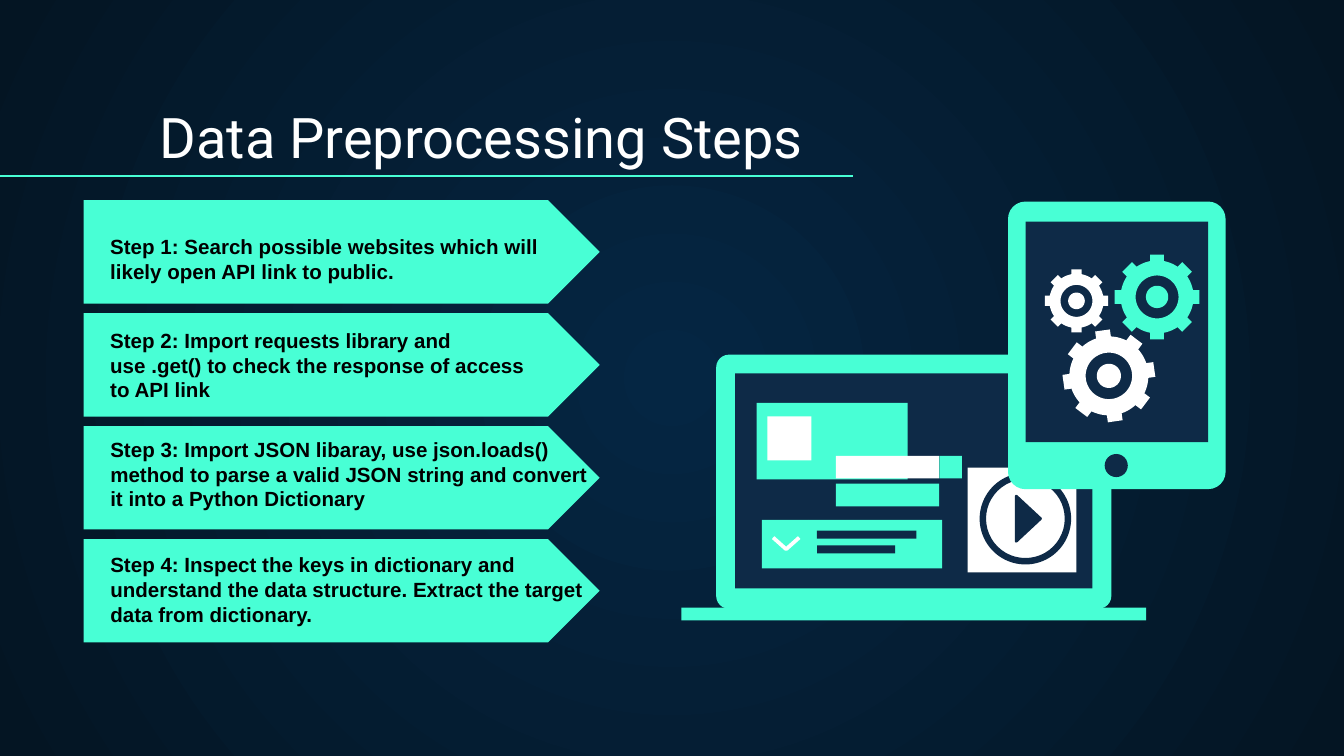
import math

from lxml import etree
from pptx import Presentation
from pptx import util as u
from pptx.dml.color import RGBColor
from pptx.enum import shapes, text
from pptx.oxml import ns

MINT = RGBColor(0x48, 0xFF, 0xD5)
NAVY = RGBColor(0x0E, 0x2A, 0x47)
WHITE = RGBColor(0xFF, 0xFF, 0xFF)
BLACK = RGBColor(0, 0, 0)
GLOW = RGBColor(0x05, 0x26, 0x43)
EDGE = RGBColor(0x04, 0x15, 0x23)

RECT = shapes.MSO_SHAPE.RECTANGLE
ROUNDED = shapes.MSO_SHAPE.ROUNDED_RECTANGLE
OVAL = shapes.MSO_SHAPE.OVAL
RING = shapes.MSO_SHAPE.DONUT
PENTAGON = shapes.MSO_SHAPE.PENTAGON

# Wording, text width, and text bottom measured from the top of the arrow
STEPS = [
    ("Step 1: Search possible websites which will likely open API link to public.", 249, 51.8),
    ("Step 2: Import requests library and use .get() to check the response of access to API link",
     249, 54.7),
    ("Step 3: Import JSON libaray, use json.loads() method to parse a valid JSON string "
     "and convert it into a Python Dictionary", 275, 52.6),
    ("Step 4: Inspect the keys in dictionary and understand the data structure. "
     "Extract the target data from dictionary.", 275, 54),
]


def paint(shape, color):
    shape.shadow.inherit = False
    shape.fill.solid()
    shape.fill.fore_color.rgb = color
    shape.line.fill.background()
    return shape


def add_part(page, kind, left, top, width, height, color, adjust=None):
    part = page.shapes.add_shape(kind, u.Pt(left), u.Pt(top), u.Pt(width), u.Pt(height))
    if adjust is not None:
        part.adjustments[0] = adjust
    return paint(part, color)


def add_outline(page, contours, color, close=True):
    """Draw one freeform from lists of points."""
    contours = [[(u.Pt(x), u.Pt(y)) for x, y in points] for points in contours]
    builder = page.shapes.build_freeform(*contours[0][0])
    for index, points in enumerate(contours):
        if index:
            builder.move_to(*points[0])
        builder.add_line_segments(points[1:], close=close)
    return paint(builder.convert_to_shape(), color)


def add_text(page, left, top, width, height, wording, font, size, color, bold=False):
    box = page.shapes.add_textbox(u.Pt(left), u.Pt(top), u.Pt(width), u.Pt(height))
    frame = box.text_frame
    frame.word_wrap = True
    frame.vertical_anchor = text.MSO_ANCHOR.BOTTOM
    frame.margin_left = frame.margin_right = u.Pt(7.2)
    frame.margin_top = frame.margin_bottom = u.Pt(7.2)
    frame.text = wording
    span = frame.paragraphs[0].runs[0]
    span.font.name = font
    span.font.size = u.Pt(size)
    span.font.bold = bold
    span.font.color.rgb = color


def set_background(page):
    fill = page.background.fill
    fill.gradient()
    for stop, color in zip(fill.gradient_stops, (GLOW, EDGE)):
        stop.color.rgb = color
    # Turn the linear gradient into a circular one
    linear = page.background._cSld.find(".//" + ns.qn("a:lin"))
    circle = etree.Element(ns.qn("a:path"), path="circle")
    etree.SubElement(circle, ns.qn("a:fillToRect"),
                     {side: "50000" for side in "ltrb"})
    linear.getparent().replace(linear, circle)


def add_heading(page, left, top, width, height):
    add_text(page, left, top, width, height, "Data Preprocessing Steps", "Roboto", 30, WHITE)
    line_top = u.Pt(top + height - 3.6)
    rule = page.shapes.add_connector(shapes.MSO_CONNECTOR.STRAIGHT,
                                     0, line_top, u.Pt(457.2), line_top)
    rule.line.color.rgb = MINT
    rule.line.width = u.Pt(0.75)
    etree.SubElement(rule._element.spPr, ns.qn("a:effectLst"))


def add_steps(page, left, top, width, height, pitch):
    for index, (wording, text_width, text_bottom) in enumerate(STEPS):
        step_top = top + index * pitch
        add_part(page, PENTAGON, left, step_top, width, height, MINT, 0.5)
        add_text(page, left + 7.2, step_top + text_bottom - 20, text_width, 20,
                 wording, "Arial", 11, BLACK, bold=True)


def add_laptop(page, left, top):
    parts = [
        (ROUNDED, 18.7, 0, 211.7, 136.1, MINT, 0.05),  # lid
        (RECT, 28.8, 10.1, 191.5, 115.2, NAVY),        # screen
        (RECT, 0, 135.6, 249.1, 6.8, MINT),            # base
        (RECT, 40.3, 25.9, 81, 41, MINT),              # card
        (RECT, 46.1, 33.1, 23.6, 23.6, WHITE),         # card image
        (RECT, 43.2, 88.6, 25.2, 25.9, MINT),          # check tile
        (RECT, 68.4, 88.6, 71.3, 25.9, MINT),          # note tile
        (RECT, 72.7, 94.3, 53.3, 4.3, NAVY),           # note lines
        (RECT, 72.7, 102.2, 41.8, 4.3, NAVY),
        (RECT, 82.8, 69.1, 55.4, 12.2, MINT),          # button
        (RECT, 82.8, 54.2, 55.4, 12.2, WHITE),         # search field
        (RECT, 138.2, 54.2, 12.2, 12.2, MINT),         # search button
        (RECT, 153.4, 60.5, 58.3, 56.2, WHITE),        # video
        (RING, 159.8, 63.4, 49, 49, NAVY, 0.07),       # play ring
    ]
    for kind, x, y, *rest in parts:
        add_part(page, kind, left + x, top + y, *rest)

    # Check mark
    mark = [(left + x, top + y) for x, y in ((49.2, 98), (56.2, 104.2), (63.2, 98))]
    check = add_outline(page, [mark], MINT, close=False)
    check.fill.background()
    check.line.color.rgb = WHITE
    check.line.width = u.Pt(2)

    # Play triangle
    corners = [(left + x, top + y) for x, y in ((179.4, 75.8), (179.4, 100), (192.4, 87.9))]
    play = add_outline(page, [corners], NAVY)
    play.line.color.rgb = NAVY
    play.line.width = u.Pt(1.5)


def add_gear(page, center_x, center_y, radius, color, tilt=0):
    """Draw an eight-toothed gear with a ring-shaped hole around its hub."""
    def at(ratio, degrees):
        angle = math.radians(degrees + tilt)
        return (center_x + radius * ratio * math.sin(angle),
                center_y - radius * ratio * math.cos(angle))

    body, hole, hub, half_tooth = 0.85, 0.5, 0.26, 0.16
    tip = math.degrees(math.asin(half_tooth))
    root = math.degrees(math.asin(half_tooth / body))
    rim = []
    for tooth in range(0, 360, 45):
        rim += [at(body, tooth - root), at(1, tooth - tip),
                at(1, tooth + tip), at(body, tooth + root)]
        rim += [at(body, tooth + step) for step in (15, 20, 25, 30)]
    circles = [[at(ratio, degrees) for degrees in range(0, 360, 6)] for ratio in (hole, hub)]
    add_outline(page, [rim] + circles, color)


def add_tablet(page, left, top):
    add_part(page, ROUNDED, left, top, 116.6, 154.1, MINT, 0.08)          # case
    add_part(page, RECT, left + 9.4, top + 10.8, 97.9, 118.1, NAVY)       # screen
    add_part(page, OVAL, left + 51.8, top + 135.2, 12.4, 12.4, NAVY)      # button
    add_gear(page, left + 79.9, top + 51.1, 23, MINT)
    add_gear(page, left + 36.7, top + 53.2, 17.1, WHITE)
    add_gear(page, left + 54.1, top + 93.4, 24.9, WHITE, tilt=-8)


def main():
    deck = Presentation()
    deck.slide_width = u.Pt(720)
    deck.slide_height = u.Pt(405)
    page = deck.slides.add_slide(deck.slide_layouts[6])
    set_background(page)
    add_heading(page, 78.5, 50.4, 617, 47.5)
    add_laptop(page, 365, 190)
    add_tablet(page, 540, 108)
    add_steps(page, 44.8, 107.3, 276.5, 55.4, 60.5)
    deck.save("out.pptx")


if __name__ == "__main__":
    main()
